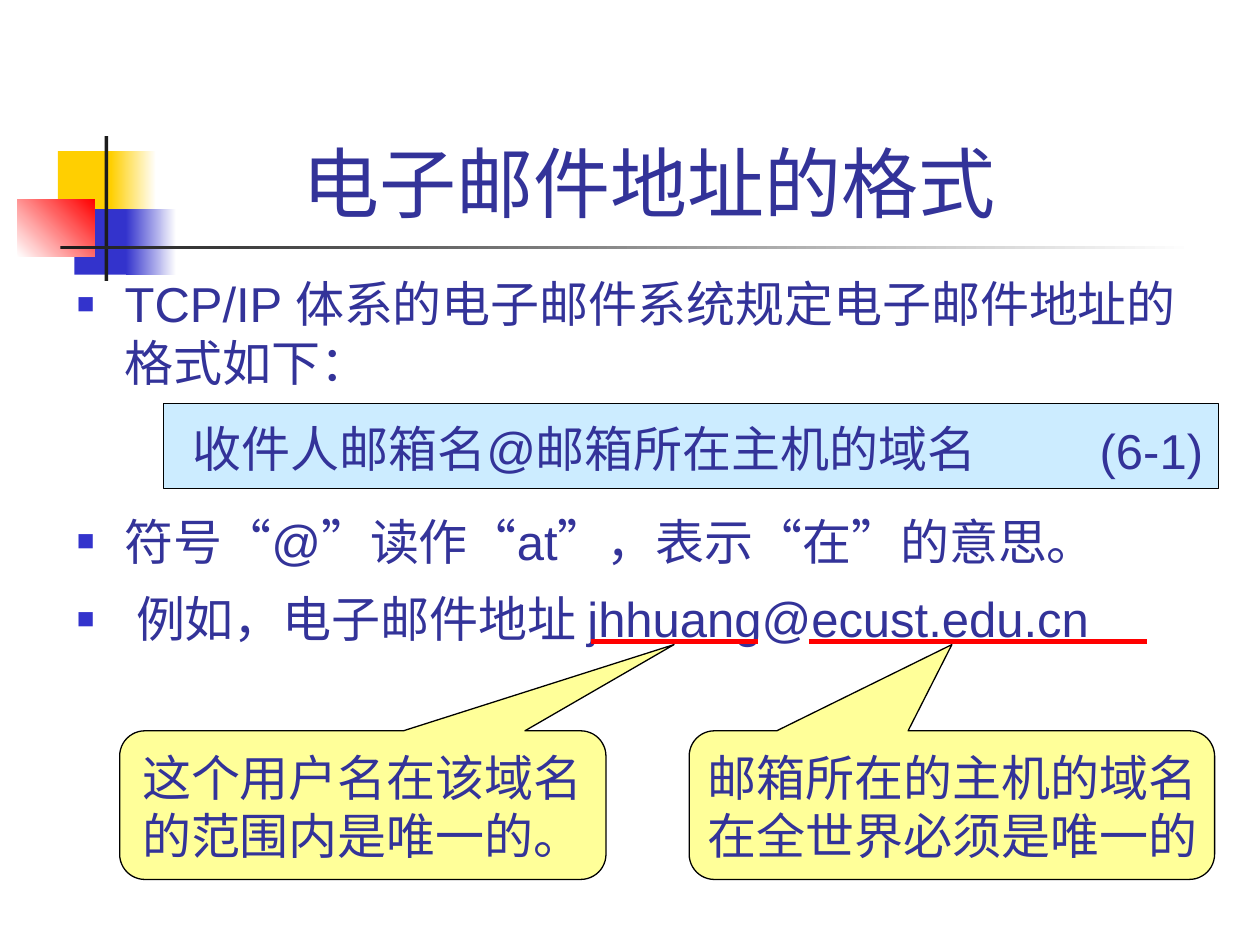
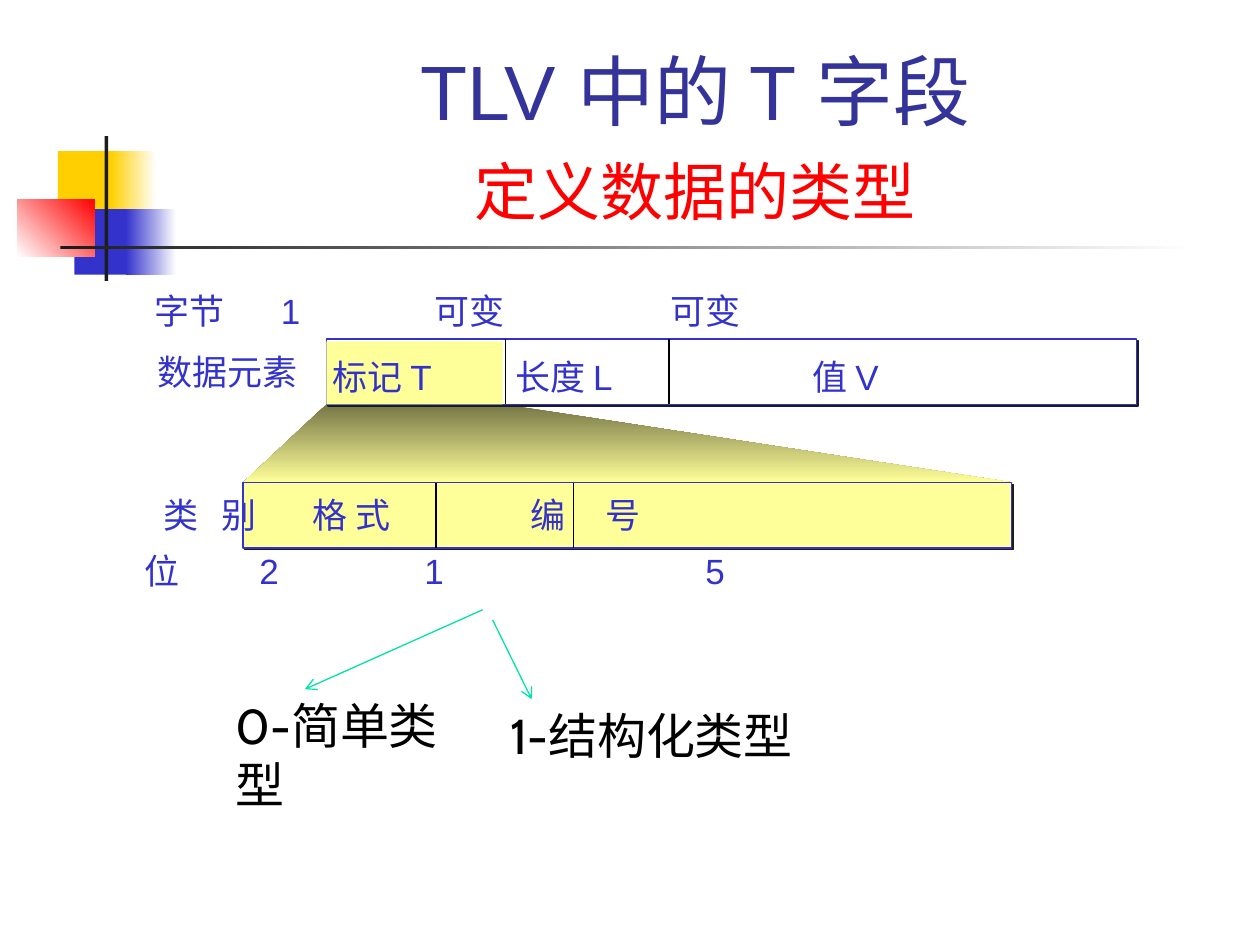
from lxml.etree import SubElement
from pptx import Presentation
from pptx.dml.color import RGBColor
from pptx.enum.shapes import MSO_CONNECTOR, MSO_SHAPE
from pptx.enum.text import MSO_ANCHOR, MSO_AUTO_SIZE, PP_ALIGN
from pptx.oxml.ns import qn
from pptx.util import Inches, Pt

COLORS = {
    "navy": "333399", "blue": "3333CC", "gold": "FFCF01", "red": "FF0000",
    "ink": "1C1C1C", "black": "000000", "white": "FFFFFF", "sky": "CCECFF",
    "yellow": "FFFF99", "olive": "767647", "mint": "00E4A7",
}
LATIN_FONT = "Arial"
ASIAN_FONT = "Noto Sans CJK SC"
LINE_HEIGHT = 1.2

# left, top, width, height, fill colour or (from, to, clockwise angle)
EMBLEM = [
    (0.46, 1.2, 0.48, 0.52, "gold"),
    (0.88, 1.2, 0.36, 0.52, ("gold", "white", 0)),
    (0.59, 1.66, 0.46, 0.52, "blue"),
    (1, 1.66, 0.4, 0.52, ("blue", "white", 0)),
    (0.14, 1.58, 0.61, 0.46, ("white", "red", 315)),
    (0.83, 1.08, 0.03, 1.15, "ink"),
    (0.48, 1.95, 9, 0.03, ("ink", "white", 0)),
]


def color(name):
    return RGBColor.from_string(COLORS[name])


class SlideBuilder:
    def __init__(self, presentation):
        self.presentation = presentation
        self.slide = None

    def start_slide(self):
        """Add a slide carrying the shared emblem and rule."""
        layout = self.presentation.slide_layouts[1]
        self.slide = self.presentation.slides.add_slide(layout)
        for *place, fill in EMBLEM:
            self.box(*place, fill)

    def paint(self, shape, fill, line=None):
        shape.shadow.inherit = False
        if isinstance(fill, tuple):
            *stops, angle = fill
            shape.fill.gradient()
            shape.fill.gradient_angle = (360 - angle) % 360
            for stop, name in zip(shape.fill.gradient_stops, stops):
                stop.color.rgb = color(name)
        else:
            shape.fill.solid()
            shape.fill.fore_color.rgb = color(fill)
        if line:
            shape.line.color.rgb = color(line)
            shape.line.width = Pt(0.75)
        else:
            shape.line.fill.background()

    def box(self, left, top, width, height, fill, line=None,
            kind=MSO_SHAPE.RECTANGLE):
        shape = self.slide.shapes.add_shape(
            kind, Inches(left), Inches(top), Inches(width), Inches(height))
        self.paint(shape, fill, line)
        return shape

    def shadowed_box(self, left, top, width, height, fill):
        shape = self.box(left, top, width, height, fill, "blue")
        effects = shape.element.spPr.find(qn("a:effectLst"))
        shadow = SubElement(effects, qn("a:outerShdw"), dist=str(Pt(1.4)),
                            dir="2700000", algn="ctr", rotWithShape="0")
        SubElement(shadow, qn("a:srgbClr"), val=COLORS["ink"])

    def polygon(self, points, fill):
        corners = [(Inches(x), Inches(y)) for x, y in points]
        builder = self.slide.shapes.build_freeform(*corners[0])
        builder.add_line_segments(corners[1:], close=True)
        self.paint(builder.convert_to_shape(), fill)

    def line(self, start, end, name="black", width=0.75, arrow=False):
        connector = self.slide.shapes.add_connector(
            MSO_CONNECTOR.STRAIGHT, *map(Inches, start + end))
        connector.line.color.rgb = color(name)
        connector.line.width = Pt(width)
        properties = connector.element.spPr
        if arrow:
            SubElement(properties.find(qn("a:ln")), qn("a:tailEnd"), type="arrow")
        SubElement(properties, qn("a:effectLst"))

    def add_words(self, paragraph, text, size, name, font=LATIN_FONT, pitch=None):
        paragraph.line_spacing = Pt((pitch or size) * LINE_HEIGHT)
        paragraph.space_before = Pt(0)
        run = paragraph.add_run()
        run.text = text
        run.font.size = Pt(size)
        run.font.name = font
        run.font.color.rgb = color(name)
        SubElement(run._r.get_or_add_rPr(), qn("a:ea"), typeface=ASIAN_FONT)

    def text(self, left, top, width, lines, size=20, name="blue", font=LATIN_FONT):
        height = 0.1 + len(lines) * size * LINE_HEIGHT / 72
        shape = self.slide.shapes.add_textbox(
            Inches(left), Inches(top), Inches(width), Inches(height))
        frame = shape.text_frame
        frame.word_wrap = True
        for index, line in enumerate(lines):
            paragraph = frame.add_paragraph() if index else frame.paragraphs[0]
            self.add_words(paragraph, line, size, name, font)

    def label_row(self, top, labels):
        for left, label in labels:
            self.text(left, top, 0.3 + 0.28 * len(label), [label])

    def place(self, placeholder, left, top, width, height):
        """Move a placeholder, bring it to the front and return its frame."""
        placeholder.left, placeholder.top = Inches(left), Inches(top)
        placeholder.width, placeholder.height = Inches(width), Inches(height)
        self.slide.shapes.element.append(placeholder.element)
        placeholder.text_frame.auto_size = MSO_AUTO_SIZE.NONE
        return placeholder.text_frame

    def title(self, left, width, text, subtitle=None):
        frame = self.place(self.slide.shapes.title, left, 0.26, width, 1.6)
        frame.vertical_anchor = MSO_ANCHOR.BOTTOM
        self.add_words(frame.paragraphs[0], text, 44, "navy")
        if subtitle:
            self.add_words(frame.add_paragraph(), subtitle, 36, "red", pitch=44)
        for paragraph in frame.paragraphs:
            paragraph.alignment = PP_ALIGN.CENTER

    def body(self, left, top, width, height, items):
        """Fill the list from (text, indent, bulleted, space after) items."""
        frame = self.place(self.slide.placeholders[1], left, top, width, height)
        for index, (text, indent, bulleted, after) in enumerate(items):
            paragraph = frame.add_paragraph() if index else frame.paragraphs[0]
            properties = paragraph._p.get_or_add_pPr()
            properties.set("marL", str(Inches(indent)))
            properties.set("indent", str(-Inches(indent) if bulleted else 0))
            if bulleted:
                tint = SubElement(properties, qn("a:buClr"))
                SubElement(tint, qn("a:srgbClr"), val=COLORS["blue"])
                SubElement(properties, qn("a:buSzPct"), val="60000")
                SubElement(properties, qn("a:buFont"), typeface=LATIN_FONT)
                SubElement(properties, qn("a:buChar"), char="■")
            else:
                SubElement(properties, qn("a:buNone"))
            paragraph.alignment = PP_ALIGN.LEFT
            paragraph.space_after = Pt(after)
            self.add_words(paragraph, text, 28, "navy")

    def callout(self, left, width, pointer, text_left, text_width, lines):
        shape = self.box(left, 5.8, width, 1.18, "yellow", "black",
                         MSO_SHAPE.ROUNDED_RECTANGULAR_CALLOUT)
        for index, value in enumerate((pointer, -1.08, 0.17)):
            shape.adjustments[index] = value
        self.text(text_left, 5.88, text_width, lines, 28, "navy", ASIAN_FONT)

    def remove_body(self):
        element = self.slide.placeholders[1].element
        element.getparent().remove(element)


def build_address_slide(builder):
    builder.start_slide()
    builder.title(0.43, 9.45, "电子邮件地址的格式")
    builder.box(1.3, 3.2, 8.37, 0.68, "sky", "black")
    builder.body(0.51, 2.12, 9.13, 4.96, [
        ("TCP/IP 体系的电子邮件系统规定电子邮件地址的格式如下：", 0.38, True, 15.8),
        ("收件人邮箱名@邮箱所在主机的域名", 0.92, False, 19.4),
        ("符号“@”读作“at”，表示“在”的意思。", 0.38, True, 10.8),
        ("例如，电子邮件地址 jhhuang@ecust.edu.cn", 0.47, True, 0),
    ])
    builder.text(8.63, 3.29, 1.1, ["(6-1)"], 28, "navy")
    for start, end in ((6.42, 9.1), (4.69, 6.02)):
        builder.line((start, 5.09), (end, 5.09), "red", 3)
    builder.callout(5.47, 4.17, 0, 5.52, 4.28,
                    ["邮箱所在的主机的域名", "在全世界必须是唯一的"])
    builder.callout(0.95, 3.86, 0.64, 1.03, 3.89,
                    ["这个用户名在该域名", "的范围内是唯一的。"])


def build_tag_field_slide(builder):
    builder.start_slide()
    builder.remove_body()
    builder.title(1.26, 8.52, "TLV 中的 T 字段", "定义数据的类型")

    element_top, tag_top, row_height = 2.69, 3.83, 0.52
    element_bottom = element_top + row_height
    builder.polygon([(1.93, tag_top), (2.59, element_bottom),
                     (4, element_bottom), (8.04, tag_top)],
                    ("olive", "yellow", 90))
    builder.shadowed_box(2.59, element_top, 6.43, row_height, "white")
    builder.box(2.59, 2.71, 1.4, 0.5, "yellow")
    builder.shadowed_box(1.93, tag_top, 6.1, row_height, "yellow")
    for top, dividers in ((element_top, (4.01, 5.31)), (tag_top, (3.46, 4.55))):
        for x in dividers:
            builder.line((x, top), (x, top + row_height))

    builder.label_row(2.25, [(1.13, "字节"), (2.13, "1"), (3.35, "可变"), (5.22, "可变")])
    builder.label_row(2.73, [(1.15, "数据元素")])
    builder.label_row(2.77, [(2.54, "标记 T"), (3.99, "长度 L"), (6.35, "值 V")])
    builder.label_row(3.87, [(1.2, "类"), (1.66, "别"), (2.38, "格 式"),
                             (4.11, "编"), (4.71, "号")])
    builder.label_row(4.31, [(1.05, "位"), (1.96, "2"), (3.27, "1"), (5.5, "5")])

    builder.text(1.77, 5.47, 2.19, ["0-简单类型"], 28, "black", "Cabin")
    builder.text(3.95, 5.55, 2.58, ["1-结构化类型"], 28, "black", "Cabin")
    builder.line((3.83, 4.84), (2.42, 5.47), "mint", arrow=True)
    builder.line((3.91, 4.92), (4.22, 5.55), "mint", arrow=True)


def main():
    presentation = Presentation()
    presentation.slide_width, presentation.slide_height = Inches(10), Inches(7.5)
    builder = SlideBuilder(presentation)
    build_address_slide(builder)
    build_tag_field_slide(builder)
    presentation.save("out.pptx")


if __name__ == "__main__":
    main()
